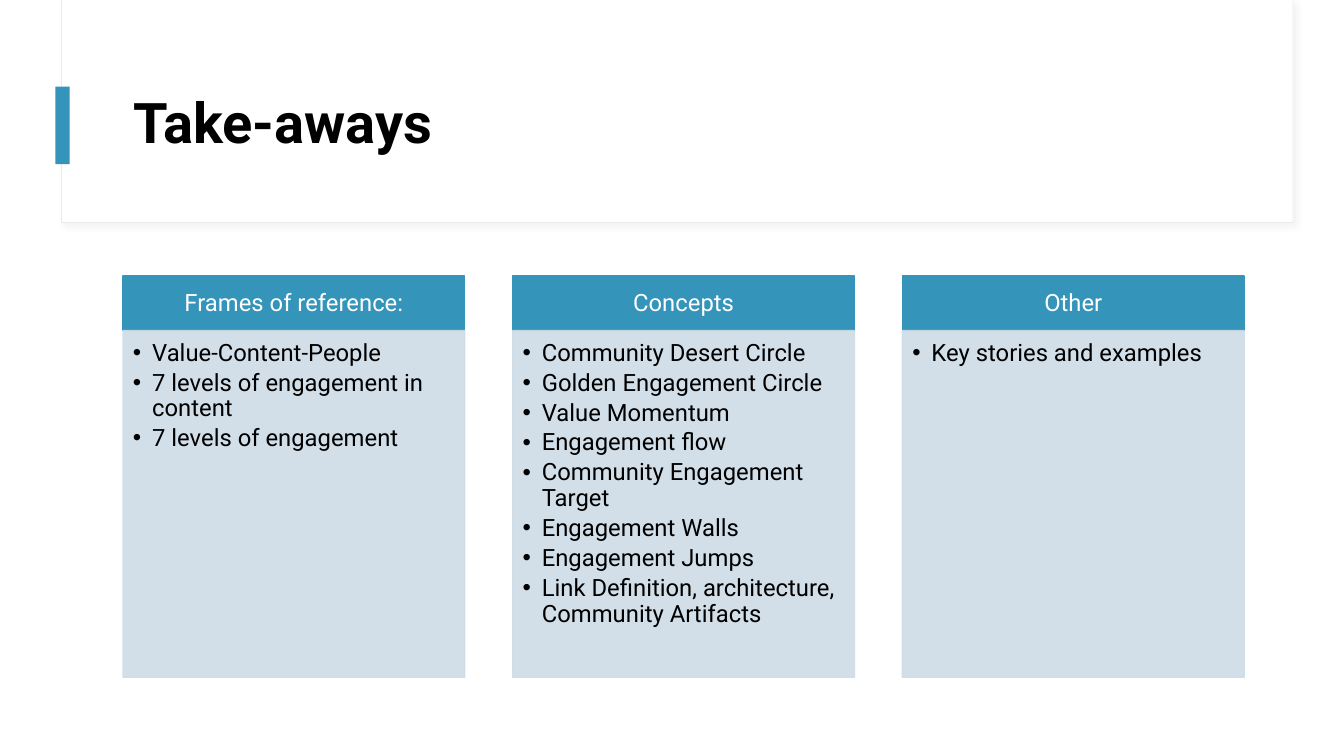
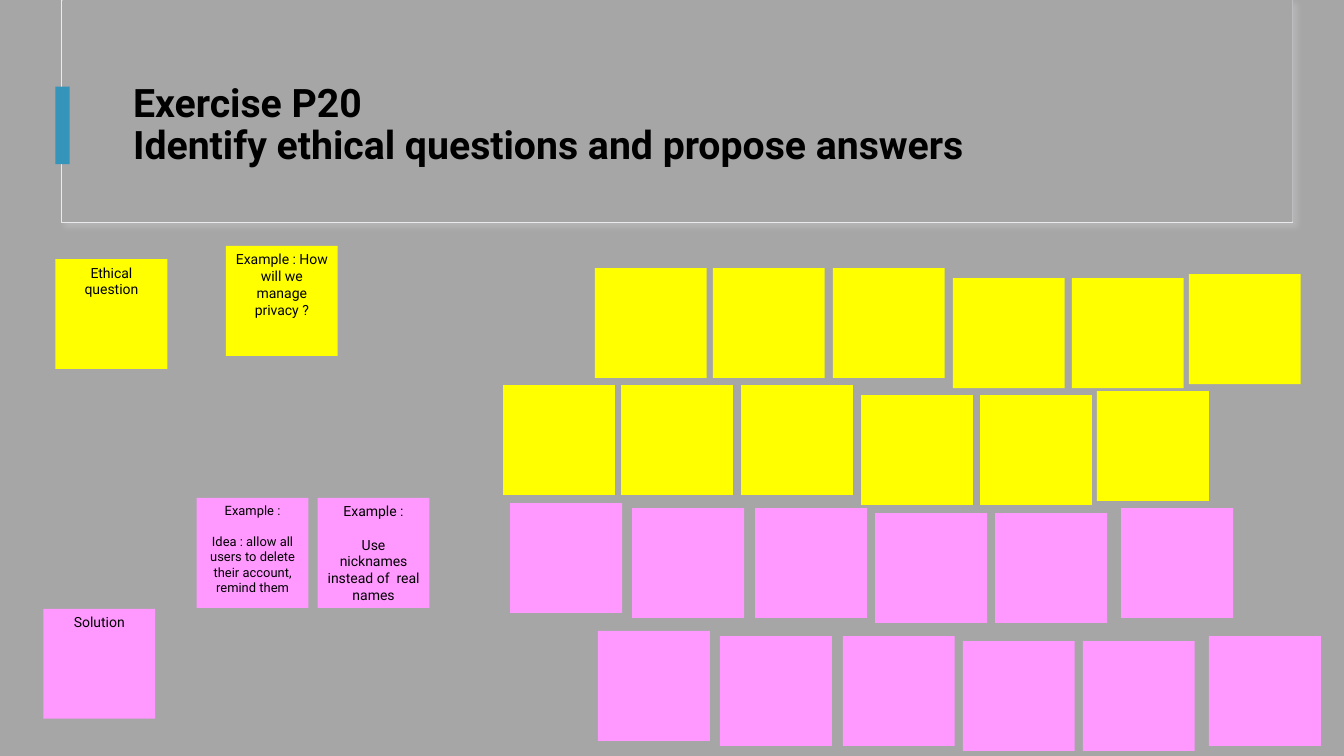
from lxml import etree
from pptx import Presentation
from pptx.dml.color import RGBColor
from pptx.enum import shapes, text
from pptx.oxml import ns
from pptx.util import Inches, Pt

FONT = "Roboto"
BLACK = RGBColor(0, 0, 0)
WHITE = RGBColor(255, 255, 255)
GREY = RGBColor(0xA6, 0xA6, 0xA6)
EDGE = RGBColor(0xEA, 0xE9, 0xEE)
BLUE = RGBColor(0x34, 0x94, 0xBA)
PALE = RGBColor(0xCE, 0xDC, 0xE7)
YELLOW = RGBColor(255, 255, 0)
PINK = RGBColor(255, 0x99, 255)
CENTER, LEFT = text.PP_ALIGN.CENTER, text.PP_ALIGN.LEFT
TOP, MIDDLE = text.MSO_ANCHOR.TOP, text.MSO_ANCHOR.MIDDLE

COLUMNS = [
    ("Frames of reference:", [
        "Value-Content-People",
        "7 levels of engagement in content",
        "7 levels of engagement",
    ]),
    ("Concepts", [
        "Community Desert Circle",
        "Golden Engagement Circle",
        "Value Momentum",
        "Engagement flow",
        "Community Engagement Target",
        "Engagement Walls",
        "Engagement Jumps",
        "Link Definition, architecture, Community Artifacts",
    ]),
    ("Other", ["Key stories and examples"]),
]
# left, top, colour, text size, paragraphs
NOTES = [
    (0.55, 2.57, YELLOW, 10, ["Ethical question"]),
    (2.24, 2.44, YELLOW, 10, ["Example : How will we manage privacy ?"]),
    (0.43, 6.04, PINK, 10, ["Solution"]),
    (1.95, 4.94, PINK, 9.2,
     ["Example :", "Idea : allow all users to delete their account, remind them"]),
    (3.15, 4.94, PINK, 10,
     ["Example :", "Use nicknames instead of  real names"]),
]
# Offsets of the six blank notes within a row, by colour
STEPS = {
    YELLOW: [(0, 0), (1.17, 0), (2.36, 0), (3.55, 0.1), (4.73, 0.1), (5.89, 0.06)],
    PINK: [(0, 0), (1.21, 0.05), (2.43, 0.05), (3.62, 0.1), (4.81, 0.1), (6.06, 0.05)],
}
ROWS = [(5.9, 2.66, YELLOW), (4.99, 3.82, YELLOW),
        (5.06, 4.99, PINK), (5.93, 6.26, PINK)]


def node(parent, tag, **attrs):
    return etree.SubElement(parent, ns.qn("a:" + tag), attrs)


def box(slide, left, top, width, height, fill, line=None, weight=1, alpha=None):
    shape = slide.shapes.add_shape(
        shapes.MSO_SHAPE.RECTANGLE,
        Inches(left), Inches(top), Inches(width), Inches(height))
    shape.shadow.inherit = False
    shape.fill.solid()
    shape.fill.fore_color.rgb = fill
    if line is None:
        shape.line.fill.background()
    else:
        shape.line.color.rgb = line
        shape.line.width = Pt(weight)
    if alpha:
        for color in shape._element.spPr.iter(ns.qn("a:srgbClr")):
            node(color, "alpha", val=str(alpha * 1000))
    return shape


def write(shape, lines, size, color=BLACK, bold=False, align=CENTER, anchor=TOP,
          inset=(0.1, 0.05, 0.1, 0.05), spacing=1.0, before=0, after=0, bullet=None):
    frame = shape.text_frame
    frame.word_wrap = True
    frame.auto_size = text.MSO_AUTO_SIZE.NONE
    frame.vertical_anchor = anchor
    (frame.margin_left, frame.margin_top,
     frame.margin_right, frame.margin_bottom) = map(Inches, inset)
    frame.text = "\n".join(lines)
    for i, para in enumerate(frame.paragraphs):
        para.alignment = align
        para.line_spacing = spacing
        para.space_before = Pt(before if i else 0)
        para.space_after = Pt(after)
        if bullet:
            props = para._p.get_or_add_pPr()
            indent = Inches(0.19)
            props.set("marL", str(indent))
            props.set("indent", str(-indent))
            node(props, "buFont", typeface="Arial")
            node(props, "buChar", char=bullet)
        font = para.font
        font.name, font.size, font.bold = FONT, Pt(size), bold
        font.color.rgb = color


def page(deck, name, size, back):
    """Add a slide with its background, title frame and accent bar."""
    slide = deck.slides.add_slide(deck.slide_layouts[5])
    slide.background.fill.solid()
    slide.background.fill.fore_color.rgb = back
    frame = box(slide, 0.61, 0, 12.21, 2.21, back, EDGE, 0.75)
    effects = frame._element.spPr.find(ns.qn("a:effectLst"))
    shadow = node(effects, "outerShdw", blurRad=str(Pt(4)), dist=str(Pt(3)),
                  dir="2700000", algn="tl", rotWithShape="0")
    node(node(shadow, "srgbClr", val="D9D9D9"), "alpha", val="30000")
    box(slide, 0.62, 0, 12.2, 2.2, back)
    box(slide, 0.55, 0.86, 0.14, 0.77, BLUE)
    title = slide.shapes.title
    slide.shapes._spTree.append(title._element)
    title.left, title.top = Inches(1.22), Inches(0.6)
    title.width, title.height = Inches(11.12), Inches(1.29)
    write(title, [name], size, bold=True, align=LEFT, anchor=MIDDLE, spacing=0.9)
    return slide


def columns(slide):
    left, width, pitch = 1.22, 3.39, 3.865
    for i, (head, items) in enumerate(COLUMNS):
        x = left + i * pitch
        bar = box(slide, x, 2.74, width, 0.54, BLUE, BLUE)
        write(bar, [head], 17, color=WHITE, anchor=MIDDLE, spacing=0.9,
              inset=(0.13, 0.08, 0.13, 0.08))
        body = box(slide, x, 3.28, width, 3.44, PALE, PALE, alpha=90)
        write(body, items, 17, align=LEFT, spacing=0.9, after=3, bullet="•",
              inset=(0.1, 0.1, 0.13, 0.15))


def notes(slide):
    width, height = 1.11, 1.09
    for x, y, color, size, lines in NOTES:
        note = box(slide, x, y, width, height, color)
        write(note, lines, size, before=1.17 * size)
    for x, y, color in ROWS:
        for dx, dy in STEPS[color]:
            box(slide, x + dx, y + dy, width, height, color)


def main():
    deck = Presentation()
    deck.slide_width, deck.slide_height = Inches(13.33), Inches(7.5)
    columns(page(deck, "Take-aways", 40, WHITE))
    notes(page(deck, "Exercise P20\vIdentify ethical questions and propose answers",
               28, GREY))
    deck.save("out.pptx")


if __name__ == "__main__":
    main()
